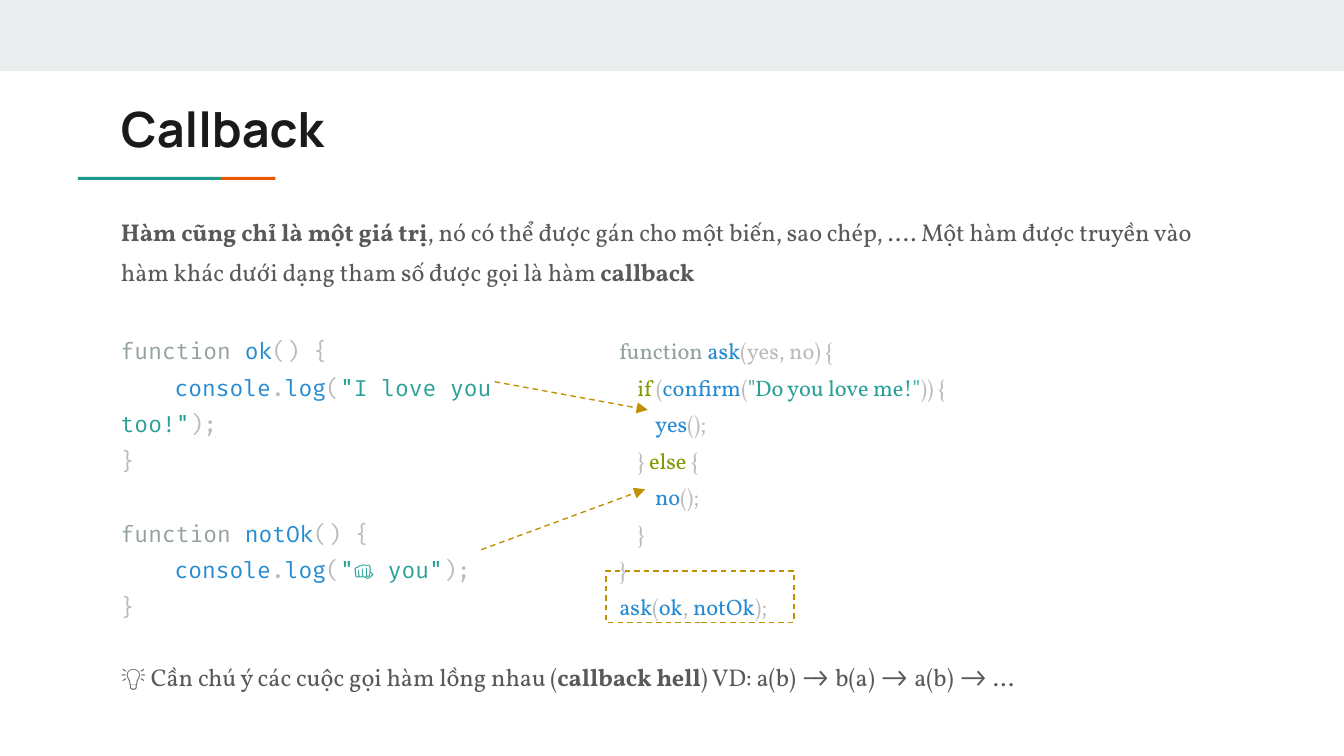
from dataclasses import dataclass

from lxml import etree
from pptx import Presentation
from pptx.dml.color import RGBColor
from pptx.enum.dml import MSO_LINE
from pptx.enum.shapes import MSO_CONNECTOR, MSO_SHAPE
from pptx.enum.text import MSO_ANCHOR, MSO_AUTO_SIZE, PP_ALIGN
from pptx.oxml.ns import qn
from pptx.util import Pt

RECT = MSO_SHAPE.RECTANGLE
LINE = MSO_CONNECTOR.STRAIGHT
DASH = MSO_LINE.DASH
TOP = MSO_ANCHOR.TOP
FIXED = MSO_AUTO_SIZE.NONE
LEFT = PP_ALIGN.LEFT


@dataclass(frozen=True)
class Theme:
    band: str = "E9EDEE"
    teal: str = "1A9988"
    orange: str = "EB5600"
    gold: str = "BF9000"
    title: str = "1A1A1A"
    body: str = "595959"
    word: str = "93A1A1"
    name: str = "268BD2"
    mark: str = "BBBBBB"
    text: str = "2AA198"
    flow: str = "859900"
    head: str = "Manrope"
    serif: str = "Vollkorn"
    mono: str = "Fira Code"
    big: int = 26
    mid: int = 13
    small: int = 12
    thin: float = 0.75
    lead: float = 1.36


T = Theme()

INTRO = [
    ("Hàm cũng chỉ là một giá trị", True),
    (", nó có thể được gán cho một biến, sao chép, .... Một hàm được truyền vào "
     "hàm khác dưới dạng tham số được gọi là hàm ", False),
    ("callback", True),
]
NOTE = [
    ("💡 Cần chú ý các cuộc gọi hàm lồng nhau (", False),
    ("callback hell", True),
    (") VD: a(b) ", False),
    ("->", False), (" b(a) ", False),
    ("->", False), (" a(b) ", False),
    ("->", False), (" ...", False),
]


def define(name, args):
    return 0, [("function ", T.word), (name, T.name), (args + " {", T.mark)]


def log(text):
    return 1, [("console", T.name), (".", T.mark), ("log", T.name),
               ("(", T.mark), (text, T.text), (");", T.mark)]


def call(name):
    return 2, [(name, T.name), ("();", T.mark)]


def close(level):
    return level, [("}", T.mark)]


REPLY = [
    define("ok", "()"), log('"I love you too!"'), close(0),
    define("notOk", "()"), log('"👊 you"'), close(0),
]
ASK = [
    define("ask", "(yes, no)"),
    (1, [("if", T.flow), (" (", T.mark), ("confirm", T.name), ("(", T.mark),
         ('"Do you love me!"', T.text), (")) {", T.mark)]),
    call("yes"),
    (1, [("} ", T.mark), ("else", T.flow), (" {", T.mark)]),
    call("no"), close(1), close(0),
    (0, [("ask", T.name), ("(", T.mark), ("ok", T.name), (", ", T.mark),
         ("notOk", T.name), (");", T.mark)]),
]


def rgb(code):
    return RGBColor.from_string(code)


def add_run(para, text, font, size, color, bold=False):
    run = para.add_run()
    run.text = text
    run.font.name = font
    run.font.size = Pt(size)
    run.font.bold = bold
    run.font.color.rgb = rgb(color)


def set_frame(shape):
    frame = shape.text_frame
    frame.word_wrap = True
    frame.auto_size = FIXED
    frame.vertical_anchor = TOP
    frame.margin_left = frame.margin_right = Pt(7.2)
    frame.margin_top = frame.margin_bottom = Pt(7.2)
    return frame


def next_para(frame, first):
    return frame.paragraphs[0] if first else frame.add_paragraph()


def place(shape, x, y, w, h):
    shape.left, shape.top, shape.width, shape.height = Pt(x), Pt(y), Pt(w), Pt(h)


def add_title(slide, text):
    shape = slide.shapes.title
    place(shape, 57.6, 46.1, 605.5, 42.5)
    para = set_frame(shape).paragraphs[0]
    para.alignment = LEFT
    add_run(para, text, T.head, T.big, T.title, True)


def add_body(slide, parts):
    shape = slide.placeholders[1]
    place(shape, 57.6, 103.7, 605.5, 282.2)
    frame = set_frame(shape)
    for i, (gap, runs) in enumerate(parts):
        para = next_para(frame, i == 0)
        para.line_spacing = T.lead
        para.space_before = Pt(gap)
        props = para._p.get_or_add_pPr()
        props.set("marL", "0")
        props.set("indent", "0")
        etree.SubElement(props, qn("a:buNone"))
        for text, bold in runs:
            font = T.mono if text == "->" else T.serif
            add_run(para, text, font, T.mid, T.body, bold)


def add_code(slide, x, lines, font, step, gaps):
    box = slide.shapes.add_textbox(Pt(x), Pt(168.5), Pt(236.2), Pt(170.6))
    frame = set_frame(box)
    for i, (level, runs) in enumerate(lines):
        para = next_para(frame, i == 0)
        para.line_spacing = T.lead
        para.space_before = Pt(gaps.get(i, 0))
        para._p.get_or_add_pPr().set("indent", str(Pt(level * step)))
        for text, color in runs:
            add_run(para, text, font, T.small, color)


def add_bar(slide, x, y, w, h, color):
    bar = slide.shapes.add_shape(RECT, Pt(x), Pt(y), Pt(w), Pt(h))
    bar.shadow.inherit = False
    bar.fill.solid()
    bar.fill.fore_color.rgb = rgb(color)
    bar.line.fill.background()


def set_dash(line):
    line.color.rgb = rgb(T.gold)
    line.width = Pt(T.thin)
    line.dash_style = DASH


def add_arrow(slide, x1, y1, x2, y2):
    arrow = slide.shapes.add_connector(LINE, Pt(x1), Pt(y1), Pt(x2), Pt(y2))
    set_dash(arrow.line)
    tip = etree.SubElement(arrow.line._get_or_add_ln(), qn("a:tailEnd"))
    tip.set("type", "triangle")
    etree.SubElement(arrow._element.spPr, qn("a:effectLst"))


def add_frame(slide, x, y, w, h):
    box = slide.shapes.add_shape(RECT, Pt(x), Pt(y), Pt(w), Pt(h))
    box.shadow.inherit = False
    box.fill.background()
    set_dash(box.line)


def main():
    deck = Presentation()
    deck.slide_width, deck.slide_height = Pt(720), Pt(405)
    slide = deck.slides.add_slide(deck.slide_layouts[1])
    add_bar(slide, 0, 0, 720, 38.2, T.band)
    add_bar(slide, 41.8, 94.8, 76.6, 1.6, T.teal)
    add_bar(slide, 118.4, 94.8, 29.2, 1.6, T.orange)
    add_title(slide, "Callback")
    add_body(slide, [(10, INTRO), (196, NOTE)])
    add_code(slide, 57.6, REPLY, T.mono, 28.8, {3: 19.4})
    add_code(slide, 324.7, ASK, T.serif, 9.6, {})
    add_arrow(slide, 265, 204.5, 347, 219.6)
    add_arrow(slide, 257.8, 294.5, 345.6, 262.1)
    add_frame(slide, 324.7, 306, 100.8, 27.4)
    deck.save("out.pptx")


if __name__ == "__main__":
    main()
